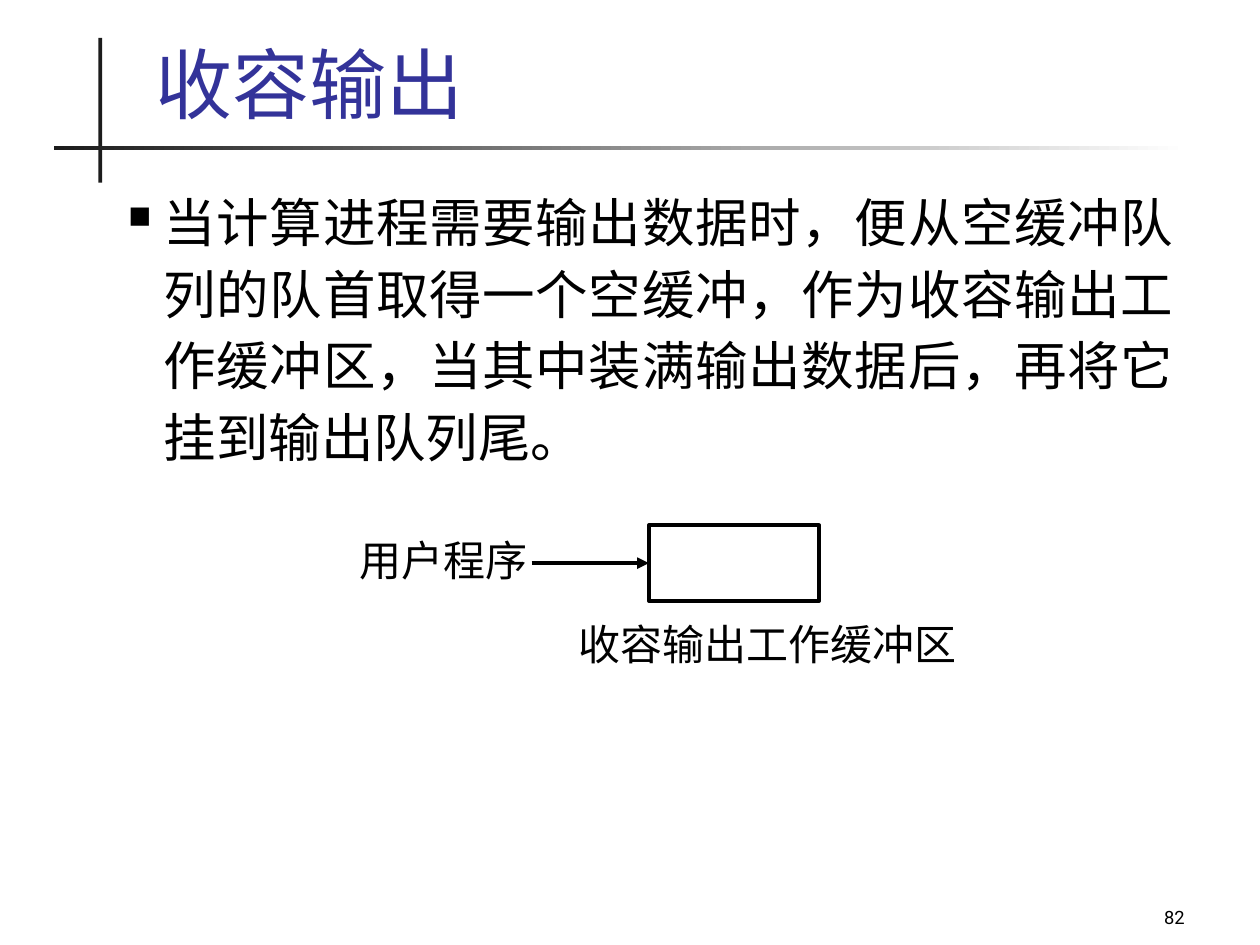
from lxml import etree
from pptx import Presentation
from pptx.dml.color import RGBColor
from pptx.enum.shapes import MSO_CONNECTOR, MSO_SHAPE
from pptx.enum.text import MSO_ANCHOR, PP_ALIGN
from pptx.oxml.ns import qn
from pptx.util import Pt

RECTANGLE = MSO_SHAPE.RECTANGLE
STRAIGHT = MSO_CONNECTOR.STRAIGHT
TOP, BOTTOM = MSO_ANCHOR.TOP, MSO_ANCHOR.BOTTOM
LEFT, RIGHT, JUSTIFY = PP_ALIGN.LEFT, PP_ALIGN.RIGHT, PP_ALIGN.JUSTIFY
COLORS = {"rule": "1C1C1C", "title": "333399", "text": "000000", "paper": "FFFFFF"}
LEFT_SIDE = 1


def color(name):
    return RGBColor.from_string(COLORS[name])


def add_text(box, text, size, font, ink="text", align=JUSTIFY, anchor=TOP, insets=(7.2, 3.6)):
    shape = slide.shapes.add_textbox(*[Pt(length) for length in box])
    frame = shape.text_frame
    frame.word_wrap = True
    frame.vertical_anchor = anchor
    frame.margin_left = frame.margin_right = Pt(insets[0])
    frame.margin_top = frame.margin_bottom = Pt(insets[1])
    paragraph = frame.paragraphs[0]
    paragraph.alignment = align
    run = paragraph.add_run()
    run.text = text
    run.font.size = Pt(size)
    run.font.name = font
    run.font.color.rgb = color(ink)
    return paragraph


presentation = Presentation()
presentation.slide_width, presentation.slide_height = Pt(720), Pt(540)
slide = presentation.slides.add_slide(presentation.slide_layouts[6])

# Crossed rules beside and below the title
rules = []
for box in [(56.2, 21.6, 2.2, 82.8), (31, 83.5, 648, 2.2)]:
    rule = slide.shapes.add_shape(RECTANGLE, *[Pt(length) for length in box])
    rule.shadow.inherit = False
    rule.line.fill.background()
    rule.fill.solid()
    rule.fill.fore_color.rgb = color("rule")
    rules.append(rule)
fade = rules[1].fill
fade.gradient()
fade.gradient_angle = 0
for stop, position, name in zip(fade.gradient_stops, (0, 1), ("rule", "paper")):
    stop.position = position
    stop.color.rgb = color(name)

# Title
add_text((82, 18, 618.5, 59), "收容输出", 44, "Cambria", "title", LEFT, BOTTOM)

# Bulleted explanation
explanation = add_text(
    (66.2, 100, 612, 177),
    "当计算进程需要输出数据时，便从空缓冲队列的队首取得一个空缓冲，"
    "作为收容输出工作缓冲区，当其中装满输出数据后，再将它挂到输出队列尾。",
    30, "Cambria")
explanation.line_spacing = 1.14
properties = explanation._p.get_or_add_pPr()
properties.set("marL", str(Pt(20.2)))
properties.set("indent", str(-Pt(20.2)))
bullet_color = etree.SubElement(properties, qn("a:buClr"))
etree.SubElement(bullet_color, qn("a:srgbClr"), val=COLORS["text"])
etree.SubElement(properties, qn("a:buSzPct"), val="60000")
etree.SubElement(properties, qn("a:buChar"), char="■")

# Diagram: user program feeding the working buffer
add_text((203.8, 304.6, 102, 30.2), "用户程序", 24, "Times New Roman", insets=(1.4, 0.7))
buffer = slide.shapes.add_shape(RECTANGLE, Pt(370.8), Pt(300.2), Pt(97.2), Pt(43.2))
buffer.shadow.inherit = False
buffer.fill.solid()
buffer.fill.fore_color.rgb = color("paper")
buffer.line.color.rgb = color("text")
buffer.line.width = Pt(2.25)

arrow = slide.shapes.add_connector(STRAIGHT, Pt(303.8), Pt(321.8), Pt(370.8), Pt(321.8))
arrow.end_connect(buffer, LEFT_SIDE)
arrow.line.color.rgb = color("text")
arrow.line.width = Pt(2.25)
etree.SubElement(arrow.line._get_or_add_ln(), qn("a:tailEnd"), type="triangle")
etree.SubElement(arrow._element.spPr, qn("a:effectLst"))

add_text((329, 352.8, 229, 36), "收容输出工作缓冲区", 24, "Times New Roman", insets=(1.4, 0.7))

# Slide number
add_text((534.2, 498.2, 149.8, 36), "82", 10.5, "Roboto", align=RIGHT, anchor=BOTTOM)

presentation.save("out.pptx")
